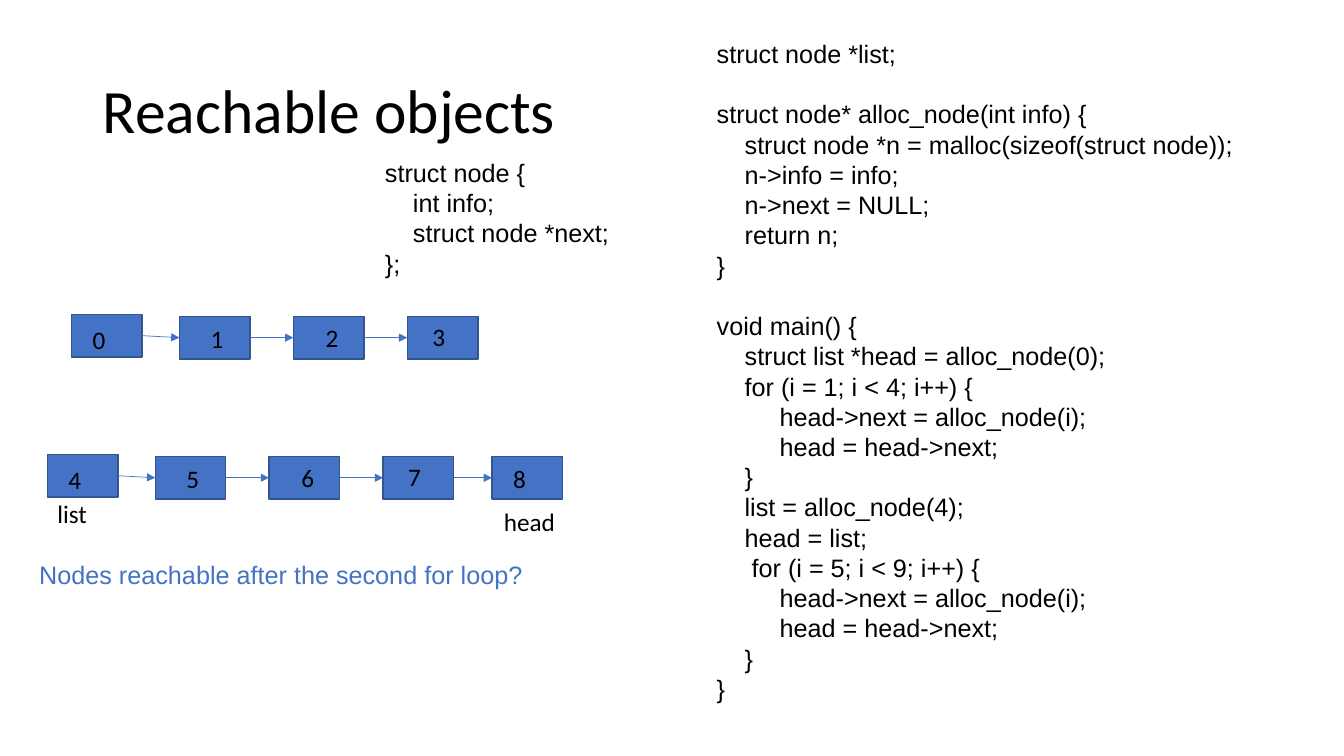
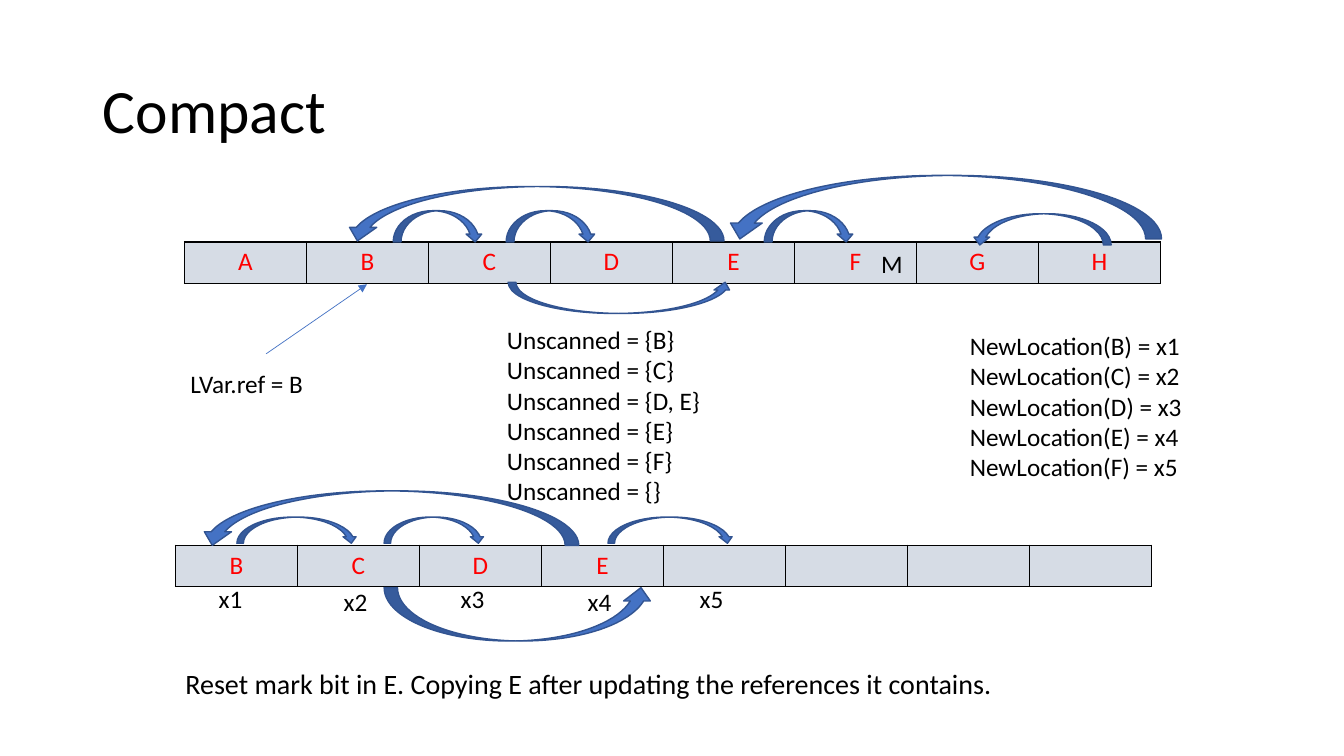
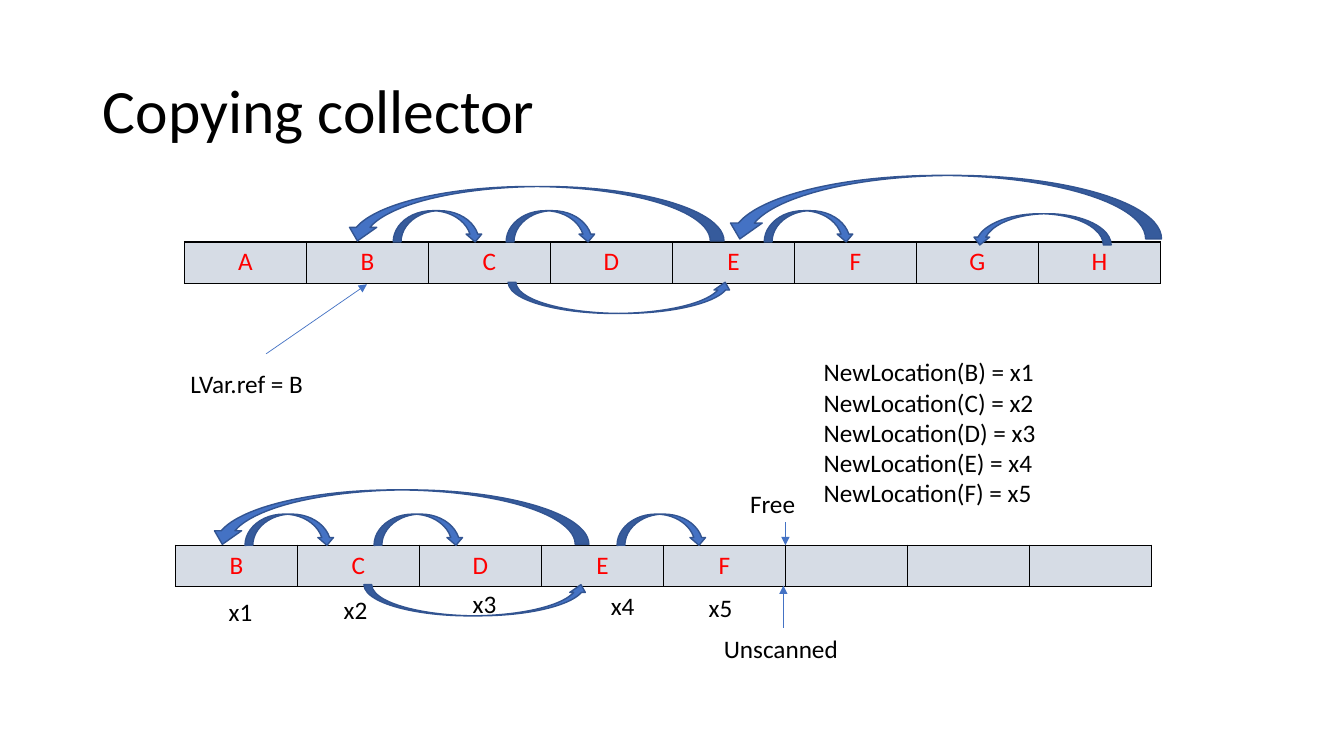
from dataclasses import dataclass
from itertools import pairwise

from lxml.etree import SubElement
from pptx import Presentation
from pptx.dml.color import RGBColor
from pptx.enum.shapes import MSO_CONNECTOR, MSO_SHAPE
from pptx.enum.text import MSO_ANCHOR, MSO_AUTO_SIZE, PP_ALIGN
from pptx.oxml.ns import qn
from pptx.util import Inches, Pt


@dataclass(frozen=True)
class Theme:
    black: RGBColor = RGBColor(0x00, 0x00, 0x00)
    blue: RGBColor = RGBColor(0x44, 0x72, 0xC4)
    outline: RGBColor = RGBColor(0x32, 0x54, 0x91)
    cell: RGBColor = RGBColor(0xD6, 0xDC, 0xE5)
    red: RGBColor = RGBColor(0xFF, 0x00, 0x00)
    body_font: str = "Calibri"
    code_font: str = "Arial"
    title_size: int = 44
    body_size: int = 18
    note_size: int = 20
    leading: float = 1.2


THEME = Theme()
CELL_COUNT, CELL_WIDTH, CELL_HEIGHT = 8, 1.21, 0.41
NODE_WIDTH, NODE_HEIGHT = 0.7, 0.42

# Per list node: shift from the first node, then shift of its label from the node
NODE_LAYOUT = [
    (0, 0, 0.11, 0.05),
    (1.07, 0.02, 0.21, 0.02),
    (2.2, 0.02, 0.22, 0.01),
    (3.33, 0.02, 0.15, 0),
    (4.41, 0.02, 0.11, 0.02),
]

NODE_STRUCT = """struct node {
    int info;
    struct node *next;
};"""

LIST_PROGRAM = """struct node *list;

struct node* alloc_node(int info) {
    struct node *n = malloc(sizeof(struct node));
    n->info = info;
    n->next = NULL;
    return n;
}

void main() {
    struct list *head = alloc_node(0);
    for (i = 1; i < 4; i++) {
         head->next = alloc_node(i);
         head = head->next;
    }
    list = alloc_node(4);
    head = list;
     for (i = 5; i < 9; i++) {
         head->next = alloc_node(i);
         head = head->next;
    }
}"""

NEW_LOCATIONS = "\n".join(
    f"NewLocation({name}) = x{number}" for number, name in enumerate("BCDEF", 1))

UNSCANNED_STEPS = "\n".join(
    f"Unscanned = {{{names}}}" for names in ("B", "C", "D, E", "E", "F", ""))


class Deck:
    """Holds the style and the slide being built."""

    def __init__(self, theme):
        self.theme = theme
        self.presentation = Presentation()
        self.presentation.slide_width = Inches(13.33)
        self.presentation.slide_height = Inches(7.5)
        self.slide = None

    def style(self, paragraph, size=None, color=None, font=None):
        paragraph.font.name = font or self.theme.body_font
        paragraph.font.size = Pt(size or self.theme.body_size)
        paragraph.font.color.rgb = color or self.theme.black

    def new_slide(self, heading):
        layout = self.presentation.slide_layouts[5]
        self.slide = self.presentation.slides.add_slide(layout)
        title = self.slide.shapes.title
        title.left, title.top = Inches(0.92), Inches(0.4)
        title.width, title.height = Inches(11.5), Inches(1.45)
        frame = title.text_frame
        frame.text = heading
        frame.auto_size = MSO_AUTO_SIZE.NONE
        frame.vertical_anchor = MSO_ANCHOR.MIDDLE
        paragraph = frame.paragraphs[0]
        paragraph.alignment = PP_ALIGN.LEFT
        paragraph.line_spacing = 0.9
        self.style(paragraph, self.theme.title_size)

    def text(self, content, left, top, width, height=0.4,
             size=None, color=None, font=None):
        """Adds one paragraph per line; an empty line becomes space before the next."""
        box = self.slide.shapes.add_textbox(
            Inches(left), Inches(top), Inches(width), Inches(height))
        frame = box.text_frame
        frame.word_wrap = True
        frame.auto_size = MSO_AUTO_SIZE.SHAPE_TO_FIT_TEXT
        line_height = Pt((size or self.theme.body_size) * self.theme.leading)
        paragraph = frame.paragraphs[0]
        for block_number, block in enumerate(content.split("\n\n")):
            for line_number, line in enumerate(block.split("\n")):
                if block_number or line_number:
                    paragraph = frame.add_paragraph()
                if block_number and not line_number:
                    paragraph.space_before = line_height
                paragraph.text = line
                paragraph.line_spacing = line_height
                self.style(paragraph, size, color, font)

    def code(self, content, left, top, width, height):
        self.text(content, left, top, width, height, font=self.theme.code_font)

    def shape(self, preset, left, top, width, height):
        shape = self.slide.shapes.add_shape(
            preset, Inches(left), Inches(top), Inches(width), Inches(height))
        shape.shadow.inherit = False
        shape.fill.solid()
        shape.fill.fore_color.rgb = self.theme.blue
        shape.line.color.rgb = self.theme.outline
        shape.line.width = Pt(1)
        return shape

    def arc_right(self, left, top, width=0.89, height=0.31):
        self.shape(MSO_SHAPE.CURVED_DOWN_ARROW, left, top, width, height)

    def arc_left(self, left, top, width, height):
        arc = self.shape(MSO_SHAPE.CURVED_UP_ARROW, left, top, width, height)
        arc.rotation = 180

    def arc_below(self, left, top, width=2.23, height=0.31):
        self.shape(MSO_SHAPE.CURVED_UP_ARROW, left, top, width, height)

    def arrow(self, start=(0, 0), end=(0, 0)):
        arrow = self.slide.shapes.add_connector(
            MSO_CONNECTOR.STRAIGHT, *(Inches(value) for value in (*start, *end)))
        arrow.line.color.rgb = self.theme.blue
        arrow.line.width = Pt(0.5)
        SubElement(arrow.line._get_or_add_ln(), qn("a:tailEnd"), type="triangle")
        SubElement(arrow._element.spPr, qn("a:effectLst"))
        return arrow

    def linked_list(self, values, left, top):
        nodes = []
        for value, (dx, dy, label_dx, label_dy) in zip(values, NODE_LAYOUT):
            x, y = left + dx, top + dy
            nodes.append(self.shape(MSO_SHAPE.RECTANGLE, x, y, NODE_WIDTH, NODE_HEIGHT))
            self.text(str(value), x + label_dx, y + label_dy, 0.78)
        for node, next_node in pairwise(nodes):
            link = self.arrow()
            link.begin_connect(node, 3)
            link.end_connect(next_node, 1)

    def heap(self, objects, left, top):
        table = self.slide.shapes.add_table(
            1, CELL_COUNT, Inches(left), Inches(top),
            Inches(CELL_COUNT * CELL_WIDTH), Inches(CELL_HEIGHT)).table
        table.first_row = table.horz_banding = False
        table.rows[0].height = Inches(CELL_HEIGHT)
        for column, name in zip(table.columns, objects.ljust(CELL_COUNT)):
            column.width = Inches(CELL_WIDTH)
        for cell, name in zip(table.rows[0].cells, objects.ljust(CELL_COUNT)):
            cell.text = name.strip()
            paragraph = cell.text_frame.paragraphs[0]
            paragraph.alignment = PP_ALIGN.CENTER
            self.style(paragraph, color=self.theme.red)
            self.border(cell)
            cell.fill.solid()
            cell.fill.fore_color.rgb = self.theme.cell

    def border(self, cell):
        properties = cell._tc.get_or_add_tcPr()
        for side in ("lnL", "lnR", "lnT", "lnB"):
            line = SubElement(properties, qn(f"a:{side}"), w=str(Pt(1)))
            fill = SubElement(line, qn("a:solidFill"))
            SubElement(fill, qn("a:srgbClr"), val=str(self.theme.black))

    def old_heap(self):
        """The heap before collection, with its references and root."""
        self.heap("ABCDEFGH", 1.83, 2.4)
        self.arrow((2.64, 3.51), (3.64, 2.82))
        self.text("LVar.ref = B", 1.79, 3.61, 1.89)
        for left in (3.9, 5.02, 7.58):
            self.arc_right(left, 2.09)
        self.arc_left(3.41, 1.85, 3.77, 0.54)
        self.arc_left(9.64, 2.12, 1.38, 0.31)
        self.arc_left(7.18, 1.74, 4.34, 0.63)
        self.arc_below(5.04, 2.8)

    def addresses(self, positions):
        for number, (left, top) in enumerate(positions, 1):
            self.text(f"x{number}", left, top, 0.59)


def reachable_objects(deck):
    deck.new_slide("Reachable objects")
    deck.code(LIST_PROGRAM, 7.01, 0.33, 5.55, 6.77)
    deck.code(NODE_STRUCT, 3.72, 1.51, 2.43, 1.62)
    deck.text("Nodes reachable after the second for loop?", 0.29, 5.5, 6.38,
              color=deck.theme.blue, font=deck.theme.code_font)
    deck.linked_list(range(4), 0.71, 3.12)
    deck.linked_list(range(4, 9), 0.47, 4.51)
    deck.text("list", 0.47, 4.89, 1.37)
    deck.text("head", 4.9, 4.97, 1.37)


def compact(deck):
    deck.new_slide("Compact")
    deck.old_heap()
    deck.text("M", 8.64, 2.41, 0.9)
    deck.text(UNSCANNED_STEPS, 4.93, 3.17, 5.71, 2.22)
    deck.text(NEW_LOCATIONS, 9.52, 3.23, 3.01, 1.62)
    # Heap after copying E
    deck.heap("BCDE", 1.74, 5.41)
    deck.addresses([(2.07, 5.74), (3.31, 5.77), (4.47, 5.74), (5.73, 5.77), (6.84, 5.74)])
    for left, width in ((2.35, 1.2), (3.81, 1), (6.03, 1.25)):
        deck.arc_right(left, 5.13, width, 0.26)
    deck.arc_below(3.81, 5.83, 2.68, 0.53)
    deck.arc_left(1.97, 4.87, 3.77, 0.54)
    deck.text("Reset mark bit in E. Copying E after updating the references it contains.",
              1.74, 6.56, 10.06, 0.44, size=deck.theme.note_size)


def copying_collector(deck):
    deck.new_slide("Copying collector")
    deck.old_heap()
    # Heap after every reachable object has been copied
    deck.heap("BCDEF", 1.74, 5.41)
    for left in (2.43, 3.71, 6.12):
        deck.arc_right(left, 5.1)
    deck.arc_below(3.61, 5.8)
    deck.arc_left(2.07, 4.86, 3.77, 0.54)
    deck.text(NEW_LOCATIONS, 8.07, 3.49, 3.21, 1.62)
    deck.addresses([(2.17, 5.87), (3.31, 5.85), (4.59, 5.79), (5.96, 5.81), (6.93, 5.83)])
    # Free and unscanned pointers
    deck.text("Unscanned", 7.08, 6.23, 1.62)
    deck.arrow((7.77, 6.23), (7.77, 5.81))
    deck.text("Free", 7.34, 4.8, 1.62)
    deck.arrow((7.79, 5.18), (7.79, 5.41))


def main():
    deck = Deck(THEME)
    reachable_objects(deck)
    compact(deck)
    copying_collector(deck)
    deck.presentation.save("out.pptx")


if __name__ == "__main__":
    main()
